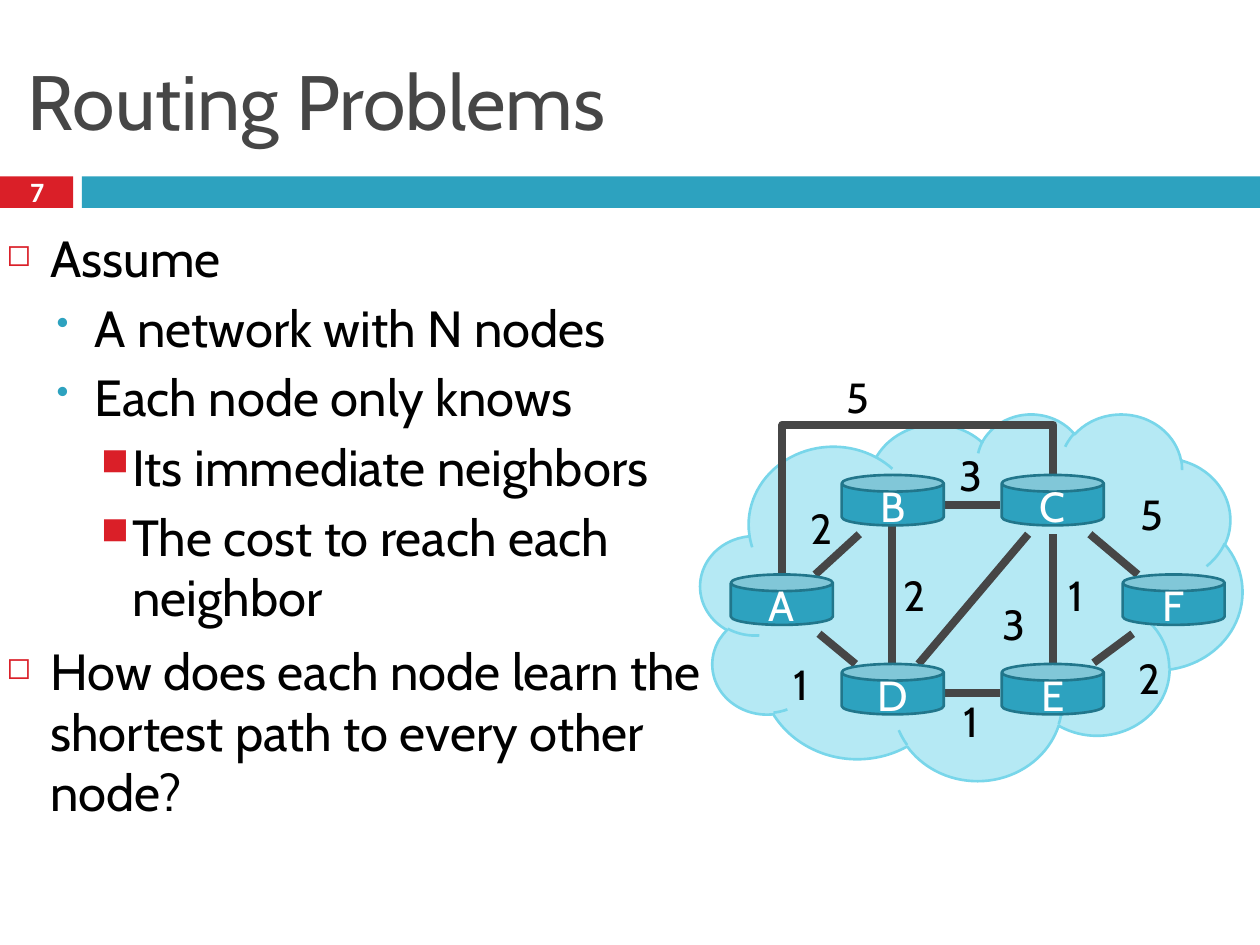
from dataclasses import dataclass

from lxml import etree
from pptx import Presentation
from pptx.dml.color import RGBColor
from pptx.enum.shapes import MSO_CONNECTOR, MSO_SHAPE
from pptx.enum.text import MSO_ANCHOR, PP_ALIGN
from pptx.oxml.ns import qn
from pptx.util import Inches, Pt

RECTANGLE, CLOUD, CAN = MSO_SHAPE.RECTANGLE, MSO_SHAPE.CLOUD, MSO_SHAPE.CAN
STRAIGHT = MSO_CONNECTOR.STRAIGHT
TOP, MIDDLE = MSO_ANCHOR.TOP, MSO_ANCHOR.MIDDLE
LEFT, CENTER = PP_ALIGN.LEFT, PP_ALIGN.CENTER

BLACK = RGBColor(0x00, 0x00, 0x00)
WHITE = RGBColor(0xFF, 0xFF, 0xFF)
GRAY = RGBColor(0x46, 0x46, 0x46)
RED = RGBColor(0xDA, 0x1F, 0x28)
TEAL = RGBColor(0x2D, 0xA2, 0xBF)
DARK_TEAL = RGBColor(0x21, 0x76, 0x8B)
CLOUD_FILL = RGBColor(0xB5, 0xE9, 0xF4)
CLOUD_EDGE = RGBColor(0x78, 0xD6, 0xEA)

FONT = "Cabin"
INSET = 0.05
NODE_WIDTH, NODE_HEIGHT = 0.81, 0.4
LABEL_WIDTH, LABEL_HEIGHT = 0.3, 0.48
LINK_WIDTH = 4.5


@dataclass(frozen=True)
class Bullet:
    """Look of one outline level; lengths in inches, space in points."""
    mark: str
    color: RGBColor
    percent: int
    margin: float
    hanging: float
    space: int


@dataclass(frozen=True)
class Node:
    name: str
    left: float
    top: float


@dataclass(frozen=True)
class Link:
    x1: float
    y1: float
    x2: float
    y2: float


@dataclass(frozen=True)
class Cost:
    text: str
    left: float
    top: float


LEVELS = (
    Bullet("◻", RED, 60, 0.35, 0.35, 7),
    Bullet("•", TEAL, 70, 0.7, 0.3, 5),
    Bullet("■", RED, 75, 1.0, 0.25, 5),
)
OUTLINE = (
    (0, "Assume"),
    (1, "A network with N nodes"),
    (1, "Each node only knows"),
    (2, "Its immediate neighbors"),
    (2, "The cost to reach each neighbor"),
    (0, "How does each node learn the shortest path to every other node?"),
)
NODES = (
    Node("A", 5.8, 4.56), Node("B", 6.68, 3.77), Node("C", 7.95, 3.77),
    Node("D", 6.68, 5.27), Node("E", 7.95, 5.27), Node("F", 8.91, 4.56),
)
LINKS = (
    Link(8.99, 5.03, 8.68, 5.26),  # F-E
    Link(8.65, 4.24, 9.03, 4.56),  # C-F
    Link(7.5, 4.01, 7.94, 4.01),   # B-C
    Link(7.5, 5.5, 7.94, 5.5),     # D-E
    Link(6.5, 5.03, 6.79, 5.27),   # A-D
    Link(6.47, 4.56, 6.82, 4.24),  # A-B
    Link(7.08, 5.27, 7.08, 4.17),  # D-B
    Link(8.16, 4.24, 7.29, 5.27),  # C-D
    Link(8.36, 4.24, 8.36, 5.26),  # C-E
)
DETOUR = ((6.21, 4.55), (6.21, 3.37), (8.36, 3.37), (8.36, 3.76))  # A-C
COSTS = (
    Cost("5", 6.66, 2.9), Cost("2", 6.37, 3.94), Cost("3", 7.56, 3.52),
    Cost("5", 8.99, 3.83), Cost("2", 8.97, 5.13), Cost("1", 7.56, 5.47),
    Cost("1", 6.21, 5.18), Cost("2", 7.11, 4.47), Cost("3", 7.9, 4.7),
    Cost("1", 8.39, 4.47),
)


def set_frame(frame, anchor, wrap: bool = True) -> None:
    frame.margin_left = frame.margin_right = Inches(INSET)
    frame.margin_top = frame.margin_bottom = Inches(INSET)
    frame.vertical_anchor = anchor
    frame.word_wrap = wrap


def add_span(para, text: str, size: float, color: RGBColor,
             font: str = FONT, bold: bool = False) -> None:
    span = para.add_run()
    span.text = text
    span.font.name = font
    span.font.size = Pt(size)
    span.font.bold = bold
    span.font.color.rgb = color


def add_box(shapes, left: float, top: float, width: float, height: float,
            anchor=TOP, wrap: bool = True):
    box = shapes.add_textbox(Inches(left), Inches(top), Inches(width), Inches(height))
    set_frame(box.text_frame, anchor, wrap)
    return box


def add_filled(shapes, kind, left: float, top: float, width: float, height: float,
               fill: RGBColor, edge: RGBColor | None = None):
    shape = shapes.add_shape(kind, Inches(left), Inches(top), Inches(width), Inches(height))
    shape.shadow.inherit = False
    shape.fill.solid()
    shape.fill.fore_color.rgb = fill
    if edge is None:
        shape.line.fill.background()
    else:
        shape.line.color.rgb = edge
        shape.line.width = Pt(1.5)
    return shape


def set_bullet(para, bullet: Bullet) -> None:
    para.space_before = Pt(bullet.space)
    props = para._p.get_or_add_pPr()
    props.set("marL", str(Inches(bullet.margin)))
    props.set("indent", str(-Inches(bullet.hanging)))
    color = etree.SubElement(props, qn("a:buClr"))
    etree.SubElement(color, qn("a:srgbClr"), val=str(bullet.color))
    etree.SubElement(props, qn("a:buSzPct"), val=str(bullet.percent * 1000))
    etree.SubElement(props, qn("a:buChar"), char=bullet.mark)


def add_outline(shapes) -> None:
    frame = add_box(shapes, 0, 1.75, 5.8, 5.58).text_frame
    for index, (level, text) in enumerate(OUTLINE):
        para = frame.add_paragraph() if index else frame.paragraphs[0]
        para.level = level
        set_bullet(para, LEVELS[level])
        add_span(para, text, 29, BLACK)


def add_link(shapes, link: Link) -> None:
    line = shapes.add_connector(STRAIGHT, Inches(link.x1), Inches(link.y1),
                                Inches(link.x2), Inches(link.y2))
    line.line.color.rgb = GRAY
    line.line.width = Pt(LINK_WIDTH)
    etree.SubElement(line._element.spPr, qn("a:effectLst"))


def add_detour(shapes) -> None:
    start, *corners = [(Inches(x), Inches(y)) for x, y in DETOUR]
    builder = shapes.build_freeform(*start)
    builder.add_line_segments(corners, close=False)
    route = builder.convert_to_shape()
    route.shadow.inherit = False
    route.fill.background()
    route.line.color.rgb = GRAY
    route.line.width = Pt(LINK_WIDTH)


def add_node(shapes, node: Node) -> None:
    group = shapes.add_group_shape().shapes
    can = add_filled(group, CAN, node.left, node.top, NODE_WIDTH, NODE_HEIGHT,
                     TEAL, DARK_TEAL)
    can.adjustments[0] = 0.33
    box = add_box(group, node.left, node.top, NODE_WIDTH, LABEL_HEIGHT, MIDDLE)
    para = box.text_frame.paragraphs[0]
    para.alignment = CENTER
    add_span(para, node.name, 24, WHITE)


def add_cost(shapes, cost: Cost) -> None:
    box = add_box(shapes, cost.left, cost.top, LABEL_WIDTH, LABEL_HEIGHT, wrap=False)
    para = box.text_frame.paragraphs[0]
    para.alignment = CENTER
    add_span(para, cost.text, 24, BLACK)


def main() -> None:
    deck = Presentation()
    deck.slide_width, deck.slide_height = Inches(10), Inches(7.5)
    page = deck.slides.add_slide(deck.slide_layouts[5])
    shapes = page.shapes

    # Title
    title = shapes.title
    title.left, title.top = Inches(0.17), Inches(0.25)
    title.width, title.height = Inches(9.67), Inches(1.08)
    set_frame(title.text_frame, MIDDLE)
    heading = title.text_frame.paragraphs[0]
    heading.alignment = LEFT
    add_span(heading, "Routing Problems", 44, GRAY)

    # Band with the page number
    add_filled(shapes, RECTANGLE, 0, 1.4, 0.58, 0.25, RED)
    add_filled(shapes, RECTANGLE, 0.65, 1.4, 9.35, 0.25, TEAL)
    number = add_box(shapes, 0.18, 1.37, 0.23, 0.35, MIDDLE, wrap=False)
    para = number.text_frame.paragraphs[0]
    para.alignment = CENTER
    para.line_spacing = 0.8
    add_span(para, "7", 16, WHITE, "Calibri", bold=True)

    add_outline(shapes)

    # Network diagram
    add_filled(shapes, CLOUD, 5.56, 3.28, 4.3, 2.91, CLOUD_FILL, CLOUD_EDGE)
    for link in LINKS:
        add_link(shapes, link)
    add_detour(shapes)
    for node in NODES:
        add_node(shapes, node)
    for cost in COSTS:
        add_cost(shapes, cost)

    deck.save("out.pptx")


if __name__ == "__main__":
    main()
